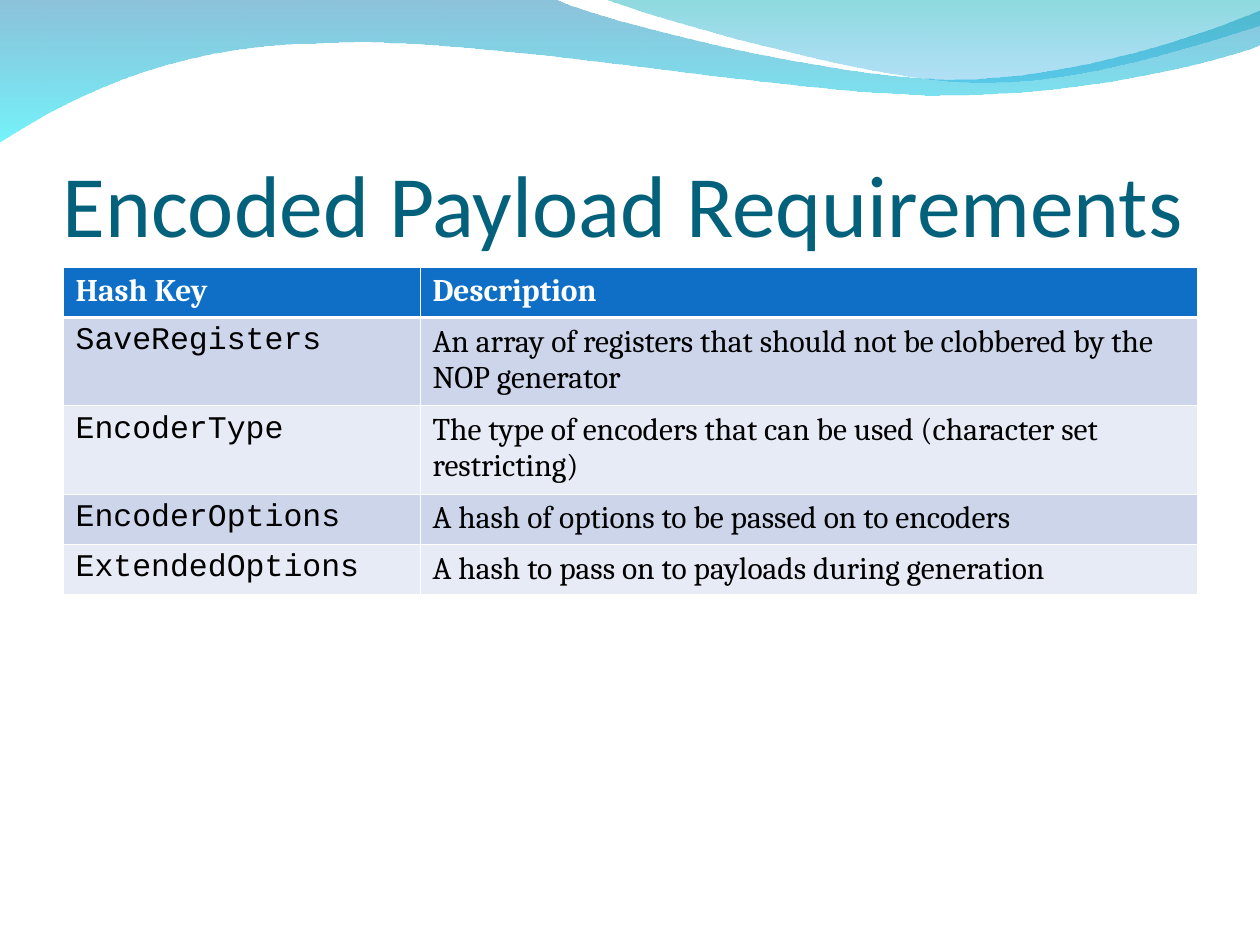
"""Build the Encoded Payload Requirements slide with its wave header and table."""
from lxml.etree import SubElement
from pptx import Presentation
from pptx.dml.color import RGBColor as Color
from pptx.enum.text import MSO_ANCHOR as Anchor
from pptx.oxml.ns import qn
from pptx.util import Pt

PX = 914400 / 126
THEME = {
    "title": "04617B", "header": "0F6FC6", "bands": ("CCD5EA", "E7EBF5"),
    "light": "FFFFFF", "dark": "000000",
    "wave": (("0079AF", 45), ("00EBF8", 55)), "crest": (("00ADB6", 45), ("009BE5", 30)),
    "title_size": 50, "table_size": 18, "rule": 0.45, "header_rule": 1.47,
    "title_font": "Calibri", "body_font": "Cambria", "code_font": "Courier New",
}
WAVES = [
    ("wave", (0, -1), [
        [(554, -1)],
        [(600, 21), (837, 79), (955, 79)],
        [(1075, 79), (1207, 33), (1260, 11)],
        [(1261, 45)],
        [(1239, 55), (1096, 96), (940, 95)],
        [(784, 95), (481, 35), (324, 43)],
        [(163, 44), (58, 105), (-1, 142)],
        [(0, -1)],
    ]),
    ("crest", (604, -1), [
        [(641, 14), (859, 78), (969, 82)],
        [(1079, 87), (1211, 40), (1260, 26)],
        [(1260, 0)],
        [(604, -1)],
    ]),
]
ROWS = [
    ("Hash Key", "Description"),
    ("SaveRegisters", "An array of registers that should not be clobbered by the NOP generator"),
    ("EncoderType", "The type of encoders that can be used (character set restricting)"),
    ("EncoderOptions", "A hash of options to be passed on to encoders"),
    ("ExtendedOptions", "A hash to pass on to payloads during generation"),
]
COLUMN_WIDTHS = (357, 777)
ROW_HEIGHTS = (50, 88, 88, 50, 50)


def px(value):
    return round(value * PX)


def write(frame, text, *, font, size, color, bold=False):
    run = frame.paragraphs[0].add_run()
    run.text = text
    run.font.name = font
    run.font.size = Pt(size)
    run.font.bold = bold
    run.font.color.rgb = Color.from_string(color)


presentation = Presentation()
presentation.slide_width, presentation.slide_height = px(1260), px(945)
slide = presentation.slides.add_slide(presentation.slide_layouts[6])

for name, start, segments in WAVES:
    builder = slide.shapes.build_freeform(px(start[0]), px(start[1]))
    builder.add_line_segments([(px(x), px(y)) for segment in segments for x, y in segment],
                              close=False)
    wave = builder.convert_to_shape()
    outline = next(wave._element.iter(qn("a:path")))
    lines = iter(outline.findall(qn("a:lnTo")))
    for segment in segments:
        line = next(lines)
        if len(segment) == 3:
            curve = SubElement(outline, qn("a:cubicBezTo"))
            line.addprevious(curve)
            for part in (line, next(lines), next(lines)):
                curve.append(part[0])
                outline.remove(part)
    SubElement(outline, qn("a:close"))
    wave.shadow.inherit = False
    wave.line.fill.background()
    wave.fill.gradient()
    wave.fill.gradient_angle = 270
    for stop, (color, _) in zip(wave.fill.gradient_stops, THEME[name]):
        stop.color.rgb = Color.from_string(color)
    for element, (_, opacity) in zip(wave._element.spPr.iter(qn("a:srgbClr")), THEME[name]):
        SubElement(element, qn("a:alpha")).set("val", str(opacity * 1000))

title = slide.shapes.add_textbox(px(63), px(97), px(1134), px(158)).text_frame
title.word_wrap = True
title.vertical_anchor = Anchor.BOTTOM
title.margin_left = title.margin_right = title.margin_bottom = 0
title.margin_top = px(6)
write(title, "Encoded Payload Requirements", font=THEME["title_font"],
      size=THEME["title_size"], color=THEME["title"])

table = slide.shapes.add_table(len(ROWS), len(COLUMN_WIDTHS), px(63), px(267),
                               px(sum(COLUMN_WIDTHS)), px(sum(ROW_HEIGHTS))).table
for column, width in zip(table.columns, COLUMN_WIDTHS):
    column.width = px(width)
for row, height in zip(table.rows, ROW_HEIGHTS):
    row.height = px(height)

for row_index, texts in enumerate(ROWS):
    is_header = row_index == 0
    fill = THEME["header"] if is_header else THEME["bands"][(row_index - 1) % 2]
    for column_index, text in enumerate(texts):
        cell = table.cell(row_index, column_index)
        properties = cell._tc.get_or_add_tcPr()
        for side in ("L", "R", "T", "B"):
            thick = (row_index, side) in ((0, "B"), (1, "T"))
            border = SubElement(properties, qn(f"a:ln{side}"))
            border.set("w", str(Pt(THEME["header_rule" if thick else "rule"])))
            paint = SubElement(border, qn("a:solidFill"))
            SubElement(paint, qn("a:srgbClr")).set("val", THEME["light"])
        cell.fill.solid()
        cell.fill.fore_color.rgb = Color.from_string(fill)
        is_code = column_index == 0 and not is_header
        write(cell.text_frame, text, font=THEME["code_font" if is_code else "body_font"],
              size=THEME["table_size"], bold=is_header,
              color=THEME["light" if is_header else "dark"])

presentation.save("out.pptx")
